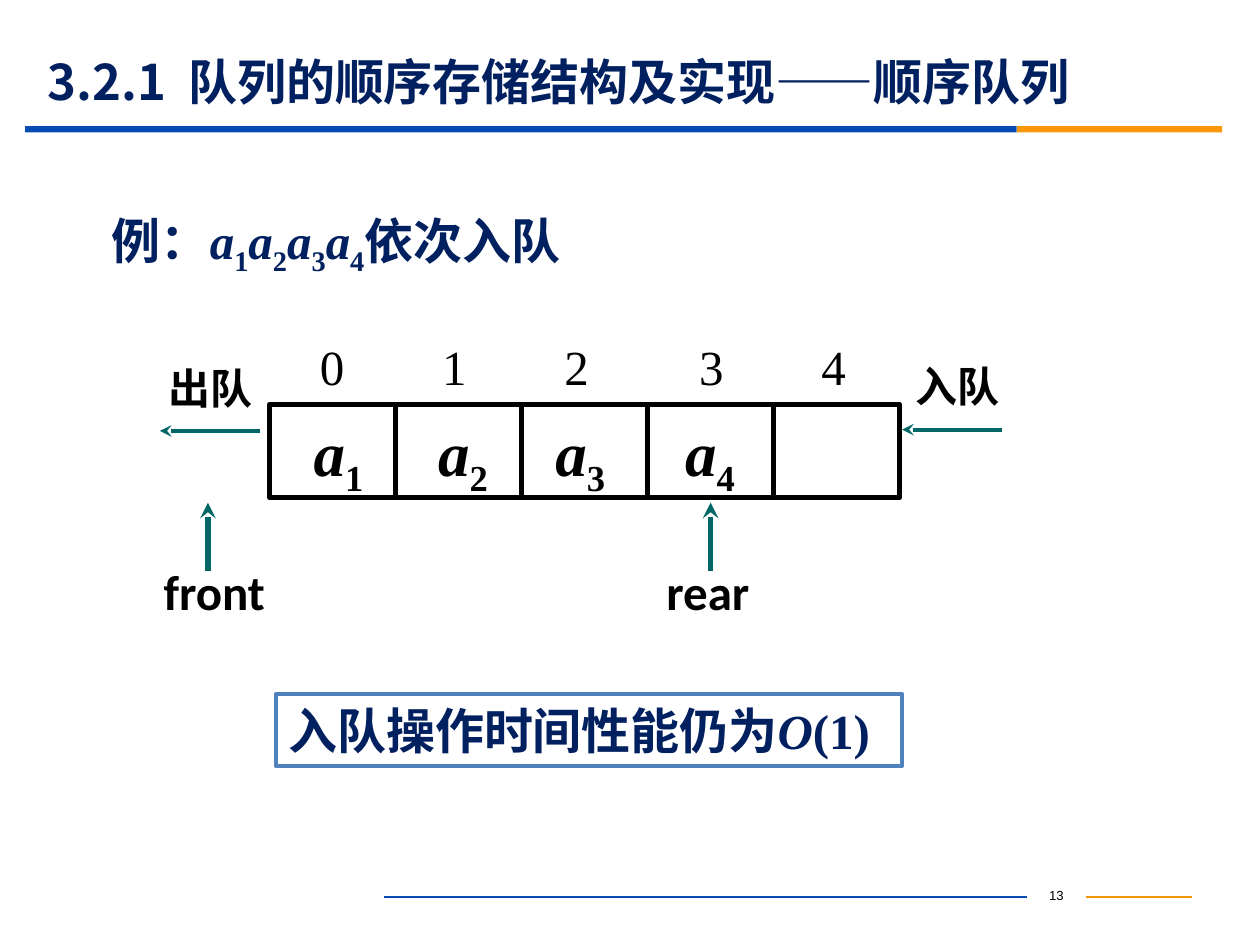
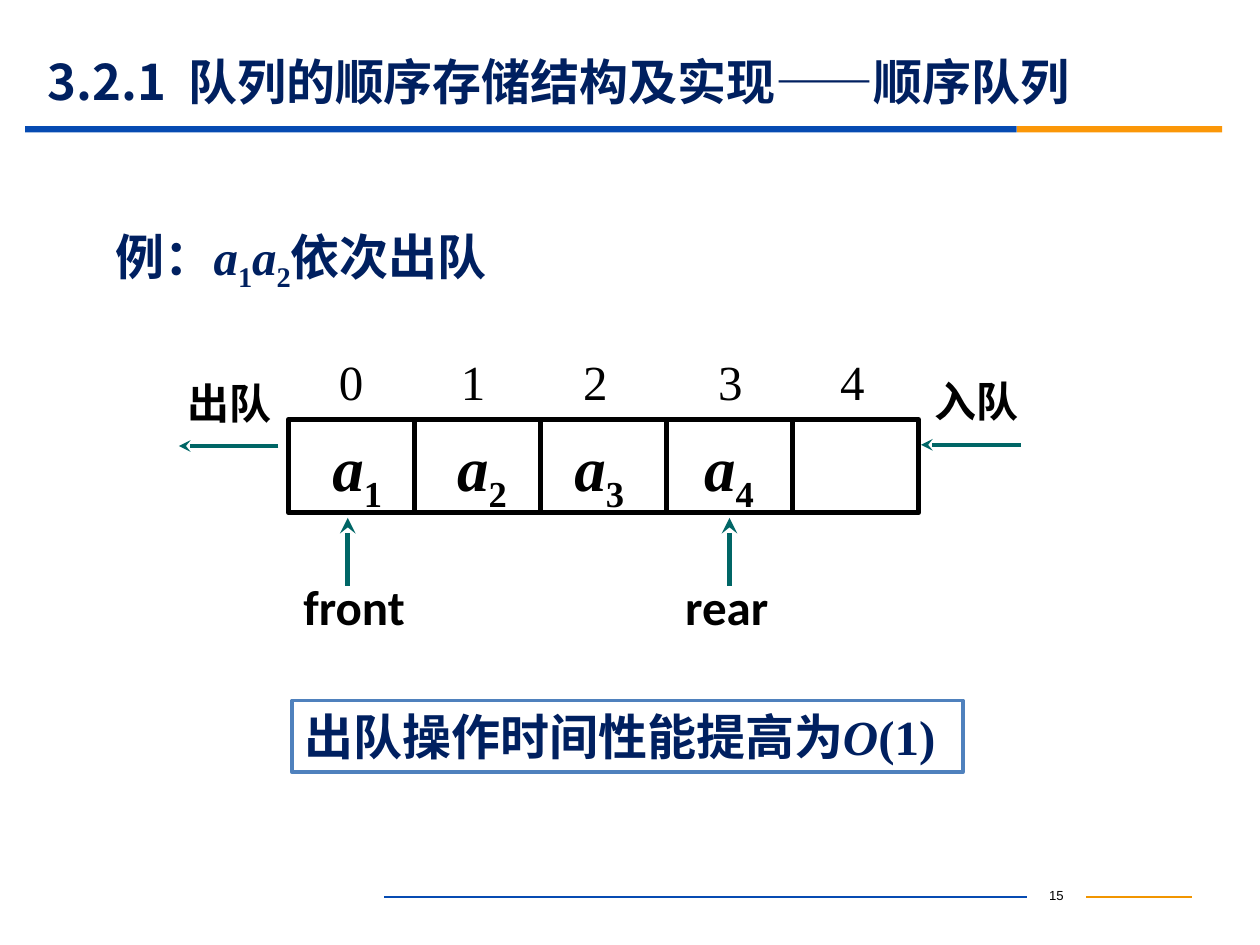
import lxml.etree
import pptx
import pptx.dml.color
import pptx.enum.shapes
import pptx.enum.text
import pptx.oxml.ns
import pptx.util

THEME = {
    "navy": "002060", "black": "000000", "white": "FFFFFF", "teal": "006666",
    "blue": "064BB2", "orange": "FB9708", "amber": "F19500", "frame": "4F81BD",
    "serif": "Times New Roman", "sans": "Calibri", "number": "Arial",
    "chinese": "Noto Sans CJK SC",
    "text": 28, "label": 24, "element": 36, "page_number": 7.5,
}
RGB = pptx.dml.color.RGBColor.from_string
ALIGN = pptx.enum.text.PP_ALIGN
RECTANGLE = pptx.enum.shapes.MSO_SHAPE.RECTANGLE
qn = pptx.oxml.ns.qn

deck = pptx.Presentation()
deck.slide_width = pptx.util.Inches(10)
deck.slide_height = pptx.util.Inches(7.5)
UNIT = deck.slide_width // 100  # the slide is a grid of 100 columns by 75 rows


def add_text(page, place, spans, size="text", colour="black", font="serif",
             bold=True, align=ALIGN.LEFT):
    """Add a text box; each span is (text, style), style being '', 'italic' or 'sub'."""
    box = page.shapes.add_textbox(*(int(length * UNIT) for length in place))
    box.text_frame.word_wrap = True
    para = box.text_frame.paragraphs[0]
    para.alignment = align
    for text, style in spans:
        span = para.add_run()
        span.text = text
        span.font.size = pptx.util.Pt(THEME[size])
        span.font.bold = bold
        span.font.italic = style == "italic"
        span.font.color.rgb = RGB(THEME[colour])
        span.font.name = THEME[font]
        properties = span.font._element
        lxml.etree.SubElement(properties, qn("a:ea"), typeface=THEME["chinese"])
        if style == "sub":
            properties.set("baseline", "-25000")
    return box


def add_line(page, ends, colour, width, arrow=False):
    """Add a straight line, with an arrowhead at its end if asked."""
    line = page.shapes.add_connector(
        pptx.enum.shapes.MSO_CONNECTOR.STRAIGHT, *(int(end * UNIT) for end in ends))
    line.line.color.rgb = RGB(THEME[colour])
    line.line.width = pptx.util.Pt(width)
    if arrow:
        lxml.etree.SubElement(line.line._get_or_add_ln(), qn("a:tailEnd"), type="stealth")
    lxml.etree.SubElement(line._element.spPr, qn("a:effectLst"))


TITLE = "3.2.1  队列的顺序存储结构及实现——顺序队列"
CELL_WIDTH, CELL_HEIGHT, CELL_COUNT = 10, 7.4, 5
INDEX_TABS = (9.7, 19.4, 30.1, 39.8)
ELEMENT_OFFSETS = (2.5, 12.4, 21.7, 32)
REAR_OFFSET = 35

# What differs between the two slides, in columns and rows
SLIDES = [
    {"number": "13", "moved": 4, "action": "依次入队", "example": (7.9, 16.2, 42.8, 5.7),
     "queue": (21.4, 32.1), "front": -4.9,
     "result": "入队操作时间性能仍为", "result_at": (21.9, 55.1, 49.7, 5.7)},
    {"number": "15", "moved": 2, "action": "依次出队", "example": (8.2, 17.5, 36.9, 5.7),
     "queue": (22.9, 33.3), "front": 4.7,
     "result": "出队操作时间性能提高为", "result_at": (23.2, 55.6, 53.2, 5.7)},
]

for content in SLIDES:
    page = deck.slides.add_slide(deck.slide_layouts[6])

    # Footer
    add_text(page, (81.5, 69.9, 4.7, 2.5), [(content["number"], "")], "page_number",
             font="number", bold=False, align=ALIGN.CENTER)
    add_line(page, (86.2, 71.2, 94.6, 71.2), "amber", 0.75)
    add_line(page, (30.5, 71.2, 81.5, 71.2), "blue", 0.75)

    # Title and the two-colour band under it
    for left, width, colour in ((2, 78.7, "blue"), (80.7, 16.3, "orange")):
        band = page.shapes.add_shape(
            RECTANGLE, *(int(length * UNIT) for length in (left, 10, width, 0.5)))
        band.shadow.inherit = False
        band.fill.solid()
        band.fill.fore_color.rgb = RGB(THEME[colour])
        band.line.fill.background()
    title = add_text(page, (2.8, 4.3, 90, 4.3), [(TITLE, "")], colour="navy", font="chinese")
    title.text_frame.vertical_anchor = pptx.enum.text.MSO_ANCHOR.MIDDLE

    # Example sentence
    spans = [("例：", "")]
    for number in range(1, content["moved"] + 1):
        spans += [("a", "italic"), (str(number), "sub")]
    add_text(page, content["example"], spans + [(content["action"], "")], colour="navy")

    # Queue cells
    left, top = content["queue"]
    for column in range(CELL_COUNT):
        place = (left + column * CELL_WIDTH, top, CELL_WIDTH, CELL_HEIGHT)
        cell = page.shapes.add_shape(RECTANGLE, *(int(length * UNIT) for length in place))
        cell.shadow.inherit = False
        cell.fill.solid()
        cell.fill.fore_color.rgb = RGB(THEME["white"])
        cell.line.color.rgb = RGB(THEME["black"])
        cell.line.width = pptx.util.Pt(3)

    # Cell indexes, set on tab stops
    indexes = add_text(page, (left + 3, top - 5.9, 46.8, 5.7),
                       [("\t".join(map(str, range(CELL_COUNT))), "")], bold=False)
    settings = indexes.text_frame.paragraphs[0]._p.get_or_add_pPr()
    stops = lxml.etree.SubElement(settings, qn("a:tabLst"))
    for stop in INDEX_TABS:
        lxml.etree.SubElement(stops, qn("a:tab"), pos=str(int(stop * UNIT)), algn="l")

    # Queue elements
    for number, offset in enumerate(ELEMENT_OFFSETS, start=1):
        add_text(page, (left + offset, top + 0.2, 6.4, 7),
                 [("a", "italic"), (str(number), "sub")], "element")

    # Ways in and out
    add_line(page, (left + 58.1, top + 2, left + 50.2, top + 2), "teal", 2.25, arrow=True)
    add_text(page, (left + 50.3, top - 4, 10.8, 5), [("入队", "")], "label")
    add_line(page, (left - 0.8, top + 2.1, left - 8.7, top + 2.1), "teal", 2.25, arrow=True)
    add_text(page, (left - 10.4, top - 3.8, 10, 5), [("出队", "")], "label", align=ALIGN.RIGHT)

    # Front and rear pointers
    for name, offset in (("front", content["front"]), ("rear", REAR_OFFSET)):
        pointer = left + offset
        add_line(page, (pointer, top + 13.2, pointer, top + 7.8), "teal", 3, arrow=True)
        add_text(page, (pointer - 4.5, top + 12, 11.3, 5.7), [(name, "")], font="sans")

    # Conclusion
    result = add_text(page, content["result_at"],
                      [(content["result"], ""), ("O", "italic"), ("(1)", "")], colour="navy")
    result.line.color.rgb = RGB(THEME["frame"])
    result.line.width = pptx.util.Pt(2.25)

deck.save("out.pptx")
